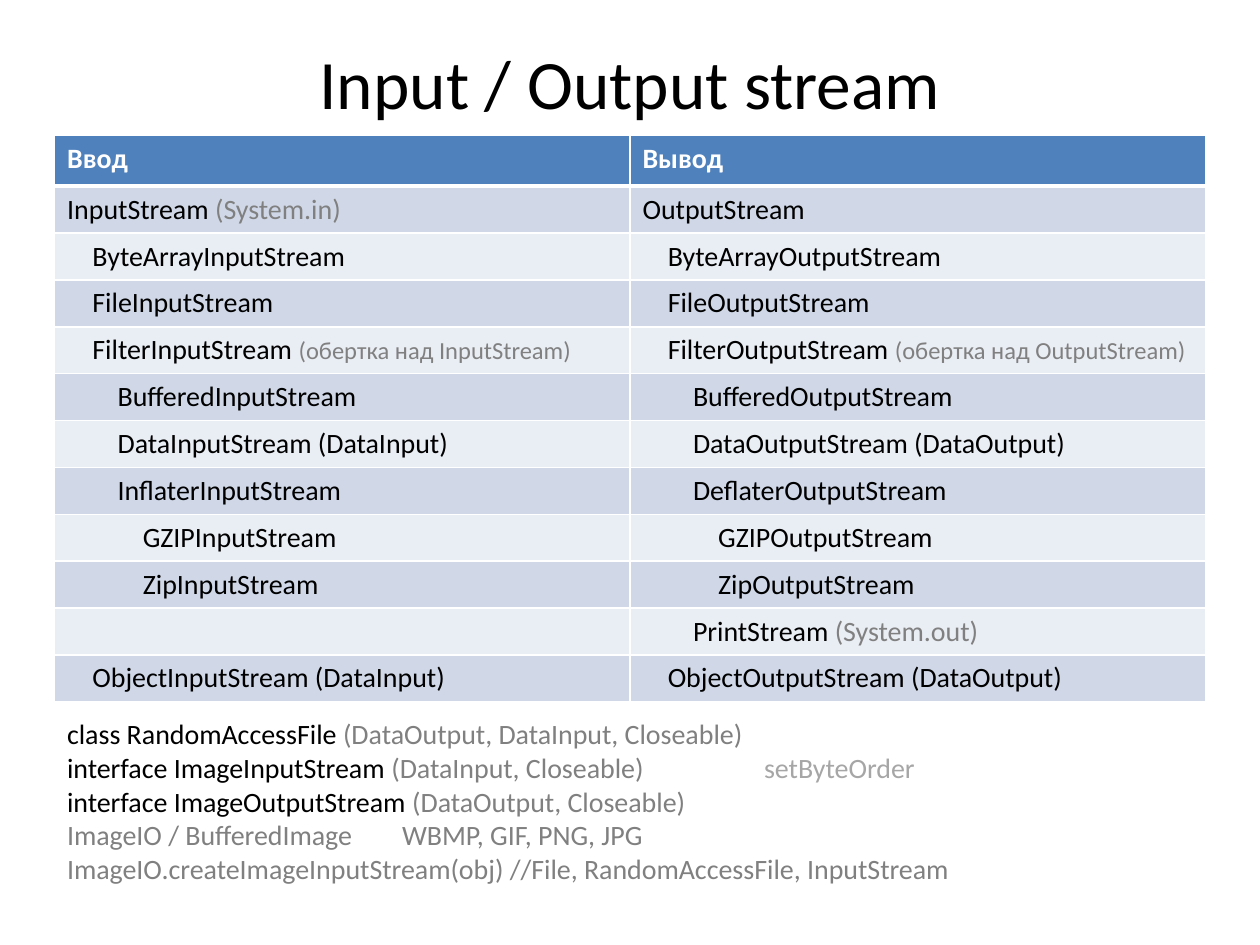
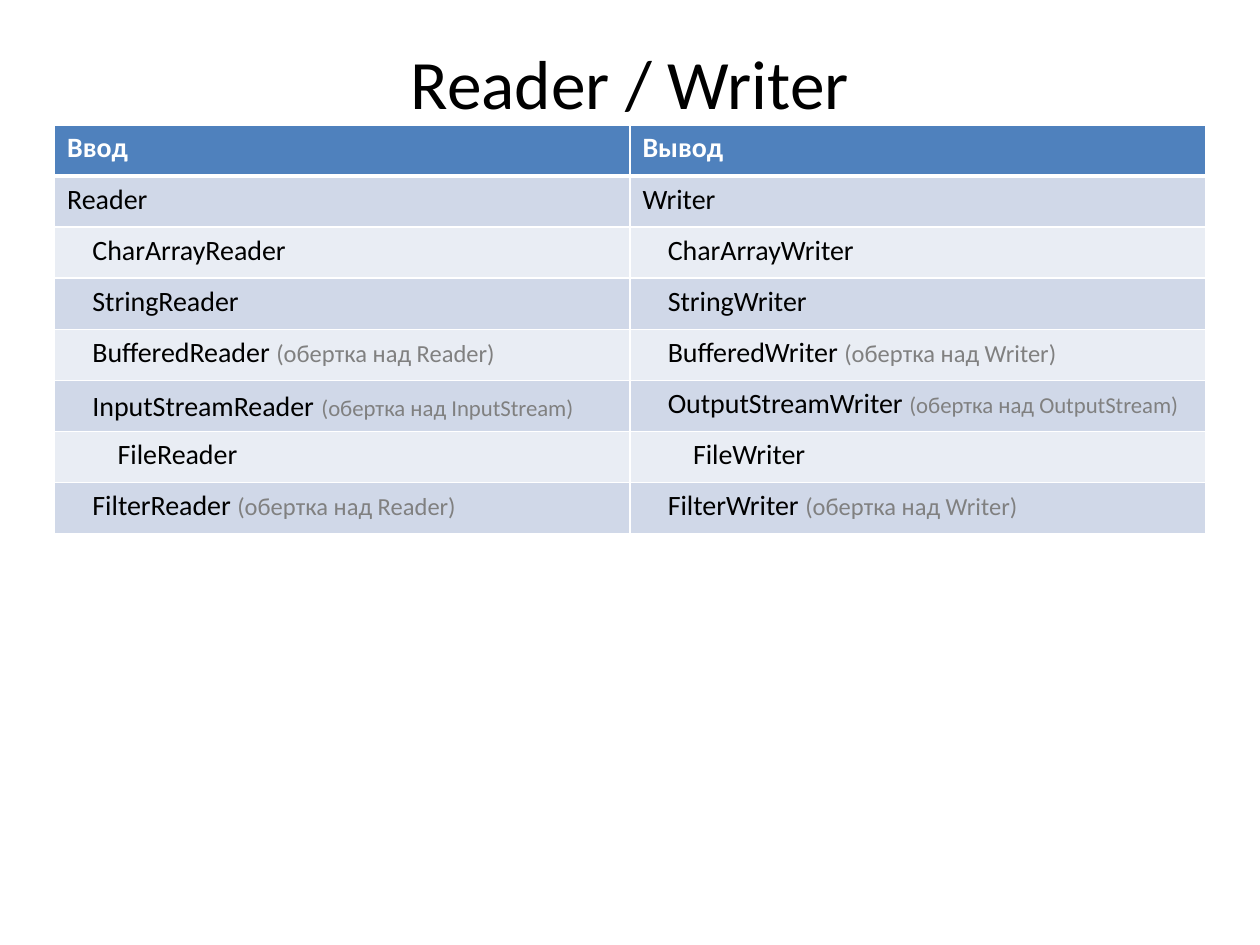
"""Build two slides that compare the input and output classes of Java."""
from lxml import etree
from pptx import Presentation
from pptx.dml.color import RGBColor
from pptx.enum.text import MSO_ANCHOR, PP_ALIGN
from pptx.oxml.ns import qn
from pptx.util import Pt

MIDDLE = MSO_ANCHOR.MIDDLE
CENTER = PP_ALIGN.CENTER

FONT = "Calibri"
STEP = 14.4
COLORS = {
    "black": "000000",
    "white": "FFFFFF",
    "head": "4F81BD",
    "odd": "D0D8E8",
    "even": "E9EDF4",
    "gray": "808080",
    "pale": "A6A6A6",
}
STYLES = {
    "title": (39.6, "black", False),
    "head": (16, "white", True),
    "main": (16, "black", False),
    "gap": (18, "black", False),
    "gray": (16, "gray", False),
    "note": (14, "gray", False),
    "small": (13, "gray", False),
    "pale": (16, "pale", False),
}

TITLE = (36, 21.6, 648, 49.7)
STREAMS = [
    (0, [("InputStream ", "main"), ("(System.in)", "gray")], "OutputStream"),
    (1, "ByteArrayInputStream", "ByteArrayOutputStream"),
    (1, "FileInputStream", "FileOutputStream"),
    (1, [("FilterInputStream ", "main"), ("(обертка над InputStream)", "note")],
     [("FilterOutputStream ", "main"), ("(обертка над OutputStream)", "note")]),
    (2, "BufferedInputStream", "BufferedOutputStream"),
    (2, "DataInputStream (DataInput)", "DataOutputStream (DataOutput)"),
    (2, "InflaterInputStream", "DeflaterOutputStream"),
    (3, "GZIPInputStream", "GZIPOutputStream"),
    (3, "ZipInputStream", "ZipOutputStream"),
    (2, "", [("PrintStream ", "main"), ("(System.out)", "gray")]),
    (1, "ObjectInputStream (DataInput)", "ObjectOutputStream (DataOutput)"),
]
READERS = [
    (0, "Reader", "Writer"),
    (1, "CharArrayReader", "CharArrayWriter"),
    (1, "StringReader", "StringWriter"),
    (1, [("BufferedReader ", "main"), ("(обертка над Reader)", "note")],
     [("BufferedWriter ", "main"), ("(обертка над Writer)", "note")]),
    (1, [("InputStreamReader", "main"), (" ", "gap"), ("(обертка над InputStream)", "small")],
     [("OutputStreamWriter ", "main"), ("(обертка над OutputStream)", "small")]),
    (2, "FileReader", "FileWriter"),
    (1, [("FilterReader ", "main"), ("(обертка над Reader)", "note")],
     [("FilterWriter ", "main"), ("(обертка над Writer)", "note")]),
]
EXTRAS = [
    [("class RandomAccessFile ", "main"), ("(DataOutput, DataInput, Closeable)", "gray")],
    [("interface ImageInputStream ", "main"), ("(DataInput, Closeable)\t", "gray"),
     ("setByteOrder", "pale")],
    [("interface ImageOutputStream ", "main"), ("(DataOutput, Closeable)", "gray")],
    [("ImageIO / BufferedImage\tWBMP, GIF, PNG, JPG", "gray")],
    [("ImageIO.createImageInputStream(obj) //File, RandomAccessFile, InputStream", "gray")],
]
TABS = {1: 398.3, 3: 191.5}


def tint(name):
    """Return the named colour."""
    return RGBColor.from_string(COLORS[name])


def write(para, parts, style="main"):
    """Write a string, or pairs of text and style, into a paragraph."""
    pairs = [(parts, style)] if isinstance(parts, str) else parts
    for text, name in pairs:
        size, color, bold = STYLES[name]
        if not text:
            end = etree.SubElement(para._p, qn("a:endParaRPr"))
            end.set("sz", str(size * 100))
            continue
        run = para.add_run()
        run.text = text
        run.font.name = FONT
        run.font.size = Pt(size)
        run.font.bold = bold
        run.font.color.rgb = tint(color)


def add_text(slide, box):
    """Add a wrapping text box and return its frame."""
    frame = slide.shapes.add_textbox(*map(Pt, box)).text_frame
    frame.word_wrap = True
    return frame


def add_title(slide, text, box):
    """Add a centred title."""
    frame = add_text(slide, box)
    frame.vertical_anchor = MIDDLE
    para = frame.paragraphs[0]
    para.alignment = CENTER
    write(para, text, "title")


def add_edges(cell, row):
    """Draw white cell borders, thick under the header."""
    props = cell._tc.get_or_add_tcPr()
    for side in "LRTB":
        thick = (row, side) in ((0, "B"), (1, "T"))
        line = etree.SubElement(props, qn("a:ln" + side), w=str(Pt(3 if thick else 1)))
        fill = etree.SubElement(line, qn("a:solidFill"))
        etree.SubElement(fill, qn("a:srgbClr"), val=COLORS["white"])


def add_pairs(slide, rows, box, head):
    """Add a two-column class table with a header of the given height."""
    lines = [(0, "Ввод", "Вывод")] + rows
    left, top, width, height = box
    table = slide.shapes.add_table(len(lines), 2, *map(Pt, box)).table
    for col in table.columns:
        col.width = Pt(width / 2)
    for num, (level, *texts) in enumerate(lines):
        table.rows[num].height = Pt((height - head) / len(rows) if num else head)
        for col, text in enumerate(texts):
            cell = table.cell(num, col)
            add_edges(cell, num)
            cell.fill.solid()
            shade = ("odd" if num % 2 else "even") if num else "head"
            cell.fill.fore_color.rgb = tint(shade)
            para = cell.text_frame.paragraphs[0]
            if level:
                para._p.get_or_add_pPr().set("marL", str(Pt(level * STEP)))
            write(para, text, "main" if num else "head")


def add_extras(slide, box):
    """Add the lines on further classes below the table."""
    frame = add_text(slide, box)
    for num, parts in enumerate(EXTRAS):
        para = frame.add_paragraph() if num else frame.paragraphs[0]
        if num in TABS:
            stops = etree.SubElement(para._p.get_or_add_pPr(), qn("a:tabLst"))
            etree.SubElement(stops, qn("a:tab"), pos=str(Pt(TABS[num])), algn="l")
        write(para, parts)


def add_page(deck, title, rows, box, head):
    """Add a slide with a title and a class table."""
    slide = deck.slides.add_slide(deck.slide_layouts[6])
    add_title(slide, title, TITLE)
    add_pairs(slide, rows, box, head)
    return slide


def main():
    """Build and save the deck."""
    deck = Presentation()
    deck.slide_width, deck.slide_height = Pt(720), Pt(540)
    page = add_page(deck, "Input / Output stream", STREAMS, (31.2, 77.2, 657.6, 323.9), 29.2)
    add_extras(page, (31.2, 406.1, 663, 104.4))
    add_page(deck, "Reader / Writer", READERS, (31.2, 71.4, 657.6, 233.6), 29.2)
    deck.save("out.pptx")


if __name__ == "__main__":
    main()
